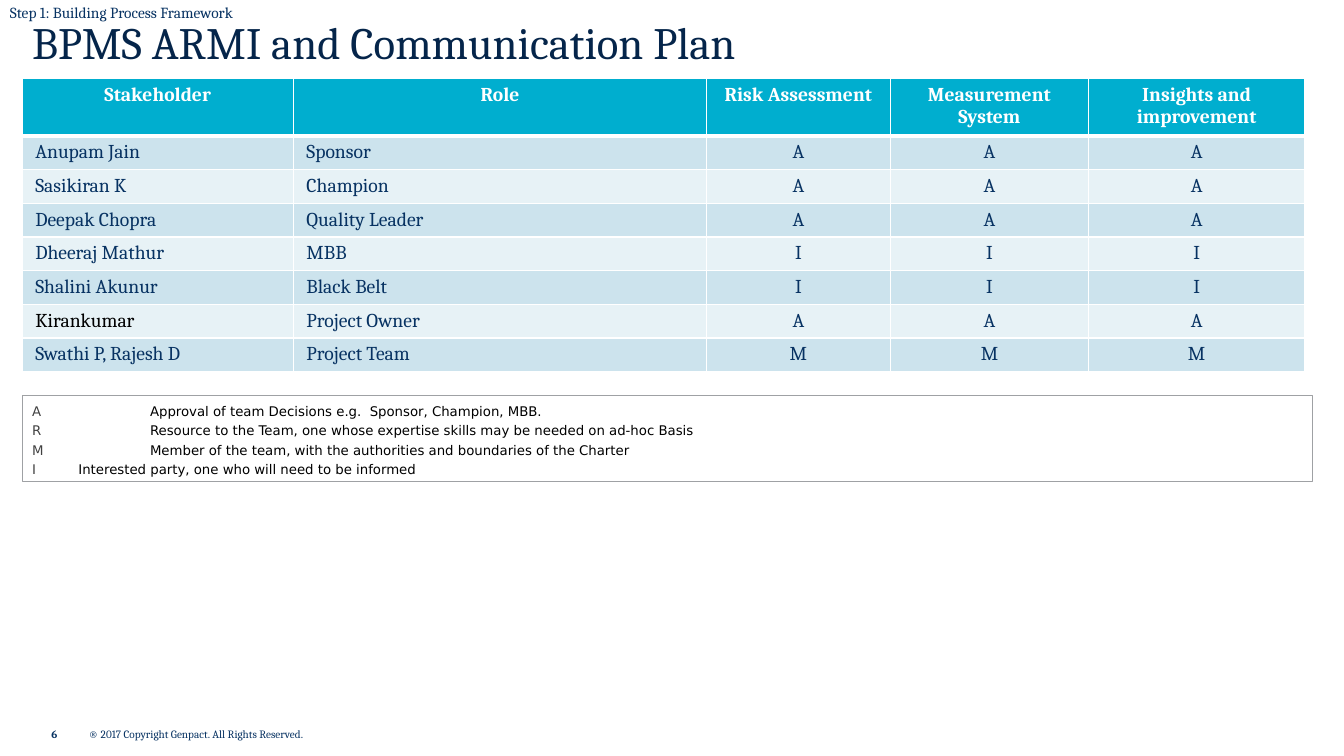
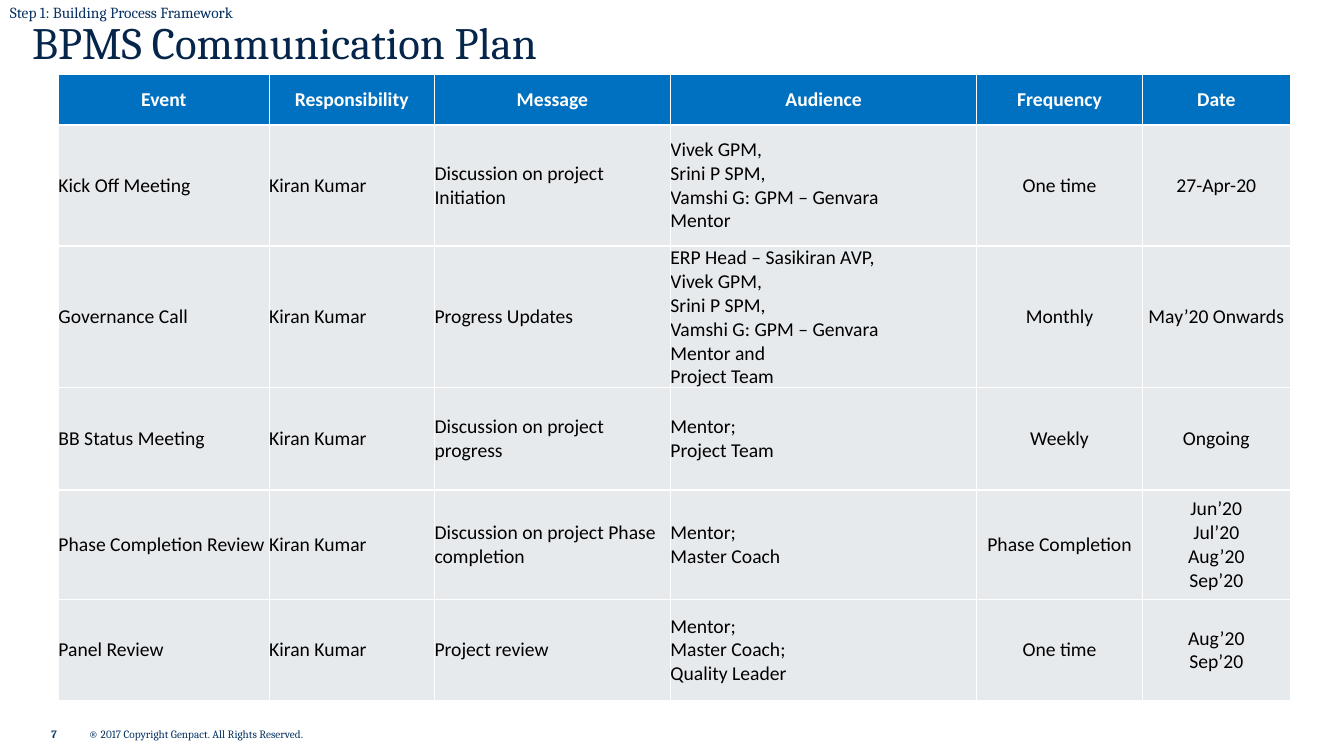
from lxml import etree
from pptx import Presentation
from pptx.dml.color import RGBColor
from pptx.enum.shapes import MSO_SHAPE
from pptx.enum.text import MSO_ANCHOR as Anchor, PP_ALIGN as Align
from pptx.oxml.ns import qn
from pptx.util import Inches, Pt

# Shared look
WHITE = RGBColor(0xFF, 0xFF, 0xFF)
BLACK = RGBColor(0x00, 0x00, 0x00)
NAVY = RGBColor(0x07, 0x32, 0x62)
TITLE_NAVY = RGBColor(0x05, 0x25, 0x4A)
CYAN = RGBColor(0x00, 0xAE, 0xCF)
BAND_DARK = RGBColor(0xCC, 0xE3, 0xED)
BAND_LIGHT = RGBColor(0xE7, 0xF2, 0xF6)
BLUE = RGBColor(0x00, 0x70, 0xC0)
PALE_GREY = RGBColor(0xE7, 0xEA, 0xED)
DARK_GREY = RGBColor(0x41, 0x41, 0x41)
FRAME_GREY = RGBColor(0x9F, 0xA1, 0xA4)
SERIF, SANS, LEGEND_FONT = "Cambria", "Calibri", "DejaVu Sans"

STEP = "Step 1: Building Process Framework"
COPYRIGHT = "® 2017 Copyright Genpact. All Rights Reserved."

# Slide 6: each stakeholder has one ARMI code for all three work areas
ARMI_HEADER = ["Stakeholder", "Role", "Risk Assessment", "Measurement System",
               "Insights and improvement"]
STAKEHOLDERS = [
    ("Anupam Jain", "Sponsor", "A"),
    ("Sasikiran K", "Champion", "A"),
    ("Deepak Chopra", "Quality Leader", "A"),
    ("Dheeraj Mathur", "MBB", "I"),
    ("Shalini Akunur", "Black Belt", "I"),
    ("Kirankumar", "Project Owner", "A"),
    ("Swathi P, Rajesh D", "Project Team", "M"),
]
PROJECT_OWNER_ROW = 6
# Code, meaning, hanging indent in inches
LEGEND = [
    ("A", "Approval of team Decisions e.g.  Sponsor, Champion, MBB.", 1.17),
    ("R", "Resource to the Team, one whose expertise skills may be needed "
          "on ad-hoc Basis", 1.17),
    ("M", "Member of the team, with the authorities and boundaries of the "
          "Charter", 1.17),
    ("I", "Interested party, one who will need to be informed", 0.46),
]

# Slide 7: a line break starts a new paragraph
OWNER = "Kiran Kumar"
MANAGERS = "Vivek GPM,\nSrini P SPM,\nVamshi G: GPM – Genvara\nMentor"
EVENTS = [
    ("Event", "Responsibility", "Message", "Audience", "Frequency", "Date"),
    ("Kick Off Meeting", OWNER, "Discussion on project Initiation",
     MANAGERS, "One time", "27-Apr-20"),
    ("Governance Call", OWNER, "Progress Updates",
     f"ERP Head – Sasikiran AVP,\n{MANAGERS} and\nProject Team",
     "Monthly", "May’20 Onwards"),
    ("BB Status Meeting", OWNER, "Discussion on project progress",
     "Mentor;\nProject Team", "Weekly", "Ongoing"),
    ("Phase Completion Review", OWNER,
     "Discussion on project Phase completion", "Mentor;\nMaster Coach",
     "Phase Completion", "Jun’20\nJul’20\nAug’20\nSep’20"),
    ("Panel Review", OWNER, "Project review",
     "Mentor;\nMaster Coach;\nQuality Leader", "One time", "Aug’20\nSep’20"),
]


def style_run(run, size, font, color, bold=False):
    run.font.size = Pt(size)
    run.font.name = font
    run.font.color.rgb = color
    run.font.bold = bold


def set_insets(frame, left, top, right, bottom):
    frame.margin_left, frame.margin_top = Inches(left), Inches(top)
    frame.margin_right, frame.margin_bottom = Inches(right), Inches(bottom)


def add_label(slide, text, box, size, color=NAVY, bold=False, footer=False):
    frame = slide.shapes.add_textbox(*map(Inches, box)).text_frame
    frame.word_wrap = True
    if footer:
        set_insets(frame, 0, 0, 0, 0)
        frame.vertical_anchor = Anchor.MIDDLE
    frame.text = text
    style_run(frame.paragraphs[0].runs[0], size, SERIF, color, bold)


def new_slide(prs, number, title):
    slide = prs.slides.add_slide(prs.slide_layouts[6])
    add_label(slide, str(number), (0.51, 7.16, 0.3, 0.24), 8, bold=True, footer=True)
    add_label(slide, COPYRIGHT, (0.88, 7.16, 2.58, 0.24), 8, footer=True)
    add_label(slide, title, (0.22, 0.1, 10.78, 0.64), 32, TITLE_NAVY)
    add_label(slide, STEP, (0, -0.02, 5.44, 0.29), 11)
    return slide


def set_borders(cell, top, bottom):
    props = cell._tc.get_or_add_tcPr()
    for side, width in (("L", 1), ("R", 1), ("T", top), ("B", bottom)):
        line = etree.SubElement(props, qn(f"a:ln{side}"), w=str(Pt(width)))
        fill = etree.SubElement(line, qn("a:solidFill"))
        etree.SubElement(fill, qn("a:srgbClr"), val=str(WHITE))


def add_grid(slide, rows, origin, widths, heights, font, ink, header_fill,
             band_fills, centred_from, insets, anchor, header_rule):
    """Table with a bold white header; columns from centred_from on are centred."""
    size = (sum(widths), sum(heights))
    grid = slide.shapes.add_table(len(rows), len(widths),
                                  *map(Inches, origin + size)).table
    grid.horz_banding = False
    for column, width in zip(grid.columns, widths):
        column.width = Inches(width)
    for row, height in zip(grid.rows, heights):
        row.height = Inches(height)

    for r, texts in enumerate(rows):
        header = r == 0
        for c, text in enumerate(texts):
            cell = grid.cell(r, c)
            set_borders(cell, top=header_rule if r == 1 else 1,
                        bottom=header_rule if header else 1)
            cell.fill.solid()
            cell.fill.fore_color.rgb = (
                header_fill if header else band_fills[(r - 1) % len(band_fills)])
            set_insets(cell, *insets)
            cell.vertical_anchor = anchor
            cell.text_frame.text = text
            for line in cell.text_frame.paragraphs:
                centred = header or c >= centred_from
                line.alignment = Align.CENTER if centred else Align.LEFT
                style_run(line.runs[0], 14, font, WHITE if header else ink, header)
    return grid


def add_legend(slide):
    box = slide.shapes.add_shape(MSO_SHAPE.RECTANGLE, Inches(0.22), Inches(3.92),
                                 Inches(12.8), Inches(0.86))
    box.shadow.inherit = False
    box.fill.solid()
    box.fill.fore_color.rgb = WHITE
    box.line.color.rgb = FRAME_GREY
    box.line.width = Pt(0.75)
    frame = box.text_frame
    frame.word_wrap = True
    frame.vertical_anchor = Anchor.TOP
    set_insets(frame, 0.1, 0.08, 0.1, 0.05)
    for i, (code, meaning, indent) in enumerate(LEGEND):
        line = frame.add_paragraph() if i else frame.paragraphs[0]
        line.alignment = Align.LEFT
        if i:
            line.space_before = Pt(2.5)
        # The tab after the code runs to the hanging indent
        props = line._p.get_or_add_pPr()
        props.set("marL", str(Inches(indent)))
        props.set("indent", str(-Inches(indent)))
        for text, color in ((code, DARK_GREY), ("\t" + meaning, BLACK)):
            run = line.add_run()
            run.text = text
            style_run(run, 9.5, LEGEND_FONT, color)


def main():
    prs = Presentation()
    prs.slide_width, prs.slide_height = Inches(13.33), Inches(7.5)

    # ARMI table and legend
    slide = new_slide(prs, 6, "BPMS ARMI and Communication Plan")
    armi_rows = [ARMI_HEADER] + [(name, role) + (code,) * 3
                                 for name, role, code in STAKEHOLDERS]
    armi = add_grid(slide, armi_rows, (0.22, 0.78),
                    widths=[2.69, 4.1, 1.82, 1.97, 2.14],
                    heights=[0.57] + [0.33] * len(STAKEHOLDERS),
                    font=SERIF, ink=NAVY, header_fill=CYAN,
                    band_fills=[BAND_DARK, BAND_LIGHT], centred_from=2,
                    insets=(0.13, 0.05, 0.13, 0.05), anchor=Anchor.TOP,
                    header_rule=3)
    owner = armi.cell(PROJECT_OWNER_ROW, 0).text_frame.paragraphs[0].runs[0]
    owner.font.color.rgb = BLACK
    add_legend(slide)

    # Communication plan
    slide = new_slide(prs, 7, "BPMS Communication Plan")
    add_grid(slide, EVENTS, (0.58, 0.74),
             widths=[2.09, 1.64, 2.34, 3.04, 1.64, 1.47],
             heights=[0.5, 1.2, 1.4, 1.02, 1.09, 1],
             font=SANS, ink=BLACK, header_fill=BLUE, band_fills=[PALE_GREY],
             centred_from=4, insets=(0, 0, 0, 0), anchor=Anchor.MIDDLE,
             header_rule=1)

    prs.save("out.pptx")


if __name__ == "__main__":
    main()
